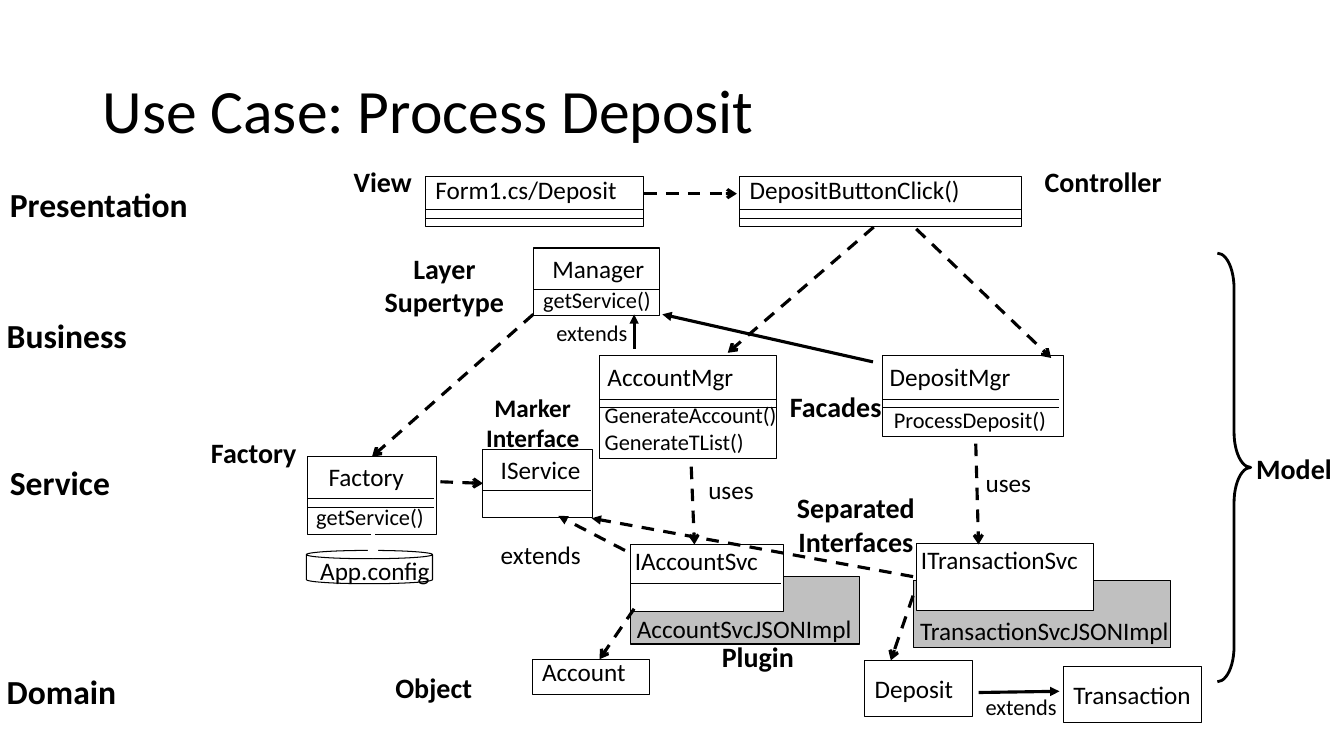
from dataclasses import dataclass

from lxml.etree import SubElement
from pptx import Presentation
from pptx.dml.color import RGBColor
from pptx.enum.dml import MSO_LINE
from pptx.enum.shapes import MSO_CONNECTOR, MSO_SHAPE
from pptx.enum.text import MSO_ANCHOR, MSO_AUTO_SIZE, PP_ALIGN
from pptx.oxml.ns import qn
from pptx.util import Cm, Pt


@dataclass(frozen=True)
class Theme:
    font: str = "Calibri"
    ink: RGBColor = RGBColor(0, 0, 0)
    paper: RGBColor = RGBColor(255, 255, 255)
    shade: RGBColor = RGBColor(0xC0, 0xC0, 0xC0)
    title: int = 44
    layer: int = 24
    role: int = 20
    name: int = 18
    member: int = 16
    thin: float = 0.75
    brace: float = 2
    arrow: float = 2.25


T = Theme()


@dataclass(frozen=True)
class Box:
    """Lengths in cm; rules are divider offsets from the top edge."""
    key: str
    left: float
    top: float
    width: float
    height: float
    rules: tuple[float, ...] = ()
    rule_width: float = 0
    text: str = ""
    fill: RGBColor = T.paper
    kind: MSO_SHAPE = MSO_SHAPE.RECTANGLE


@dataclass(frozen=True)
class Arrow:
    start: tuple[float, float]
    end: tuple[float, float]
    head: str = "arrow"
    dashed: bool = True
    color: RGBColor = T.ink
    joins: tuple[str, int] | None = None


@dataclass(frozen=True)
class Label:
    text: str
    left: float
    top: float
    width: float
    size: int = T.name
    bold: bool = False
    centered: bool = False
    wrap: bool = False


BOXES = [
    Box("AccountSvcJSONImpl", 15.9, 14.53, 5.77, 1.7, fill=T.shade),
    Box("TransactionSvcJSONImpl", 23.01, 14.63, 6.5, 1.7, fill=T.shade),
    Box("Form1", 10.72, 4.44, 5.51, 1.27, (0.84, 1.07), 5.51),
    Box("DepositButtonClick", 18.64, 4.44, 7.11, 1.27, (0.84, 1.07), 7.11),
    Box("Manager", 13.44, 6.25, 3.18, 1.7, (1.04,), 3.18),
    Box("AccountMgr", 15.11, 8.97, 4.47, 2.59, (1.09, 1.29), 4.45),
    Box("DepositMgr", 22.25, 8.97, 4.55, 2.03, (1.09, 1.29), 4.45),
    Box("Factory", 7.75, 11.51, 3.25, 1.96, (1.04, 1.27), 3.18),
    Box("IService", 12.17, 11.33, 2.77, 1.7, (1.04,), 2.72),
    Box("IAccountSvc", 15.88, 13.72, 3.86, 1.7, (0.99,), 3.81),
    Box("ITransactionSvc", 23.09, 13.69, 4.47, 1.7),
    Box("App.config", 7.72, 13.87, 3.18, 0.84, kind=MSO_SHAPE.CAN),
    Box("Account", 13.41, 16.61, 2.95, 0.89),
    Box("Deposit", 21.79, 16.64, 2.72, 1.42, text="Deposit"),
    Box("Transaction", 26.8, 16.79, 3.48, 1.42, text="Transaction"),
]

ARROWS = [
    Arrow((9.4, 12.8), (9.4, 14.07), color=T.paper),
    Arrow((16.23, 4.88), (18.57, 4.88)),
    Arrow((22.02, 5.72), (18.34, 8.89)),
    Arrow((23.09, 5.77), (26.49, 9.02)),
    Arrow((15.98, 8.79), (15.98, 7.92), "triangle", dashed=False),
    Arrow((22, 9.12), (16.69, 7.92), "triangle", dashed=False),
    Arrow((13.44, 7.92), (9.4, 11.51), joins=("Factory", 0)),
    Arrow((11.1, 12.14), (12.17, 12.18), joins=("IService", 1)),
    Arrow((17.42, 11.76), (17.5, 13.72)),
    Arrow((24.59, 11.18), (24.66, 13.72)),
    Arrow((15.75, 13.87), (14.07, 13), "triangle"),
    Arrow((23.01, 14.53), (14.91, 13.06), "triangle"),
    Arrow((15.98, 15.34), (15.11, 16.61)),
    Arrow((23.01, 15.01), (22.45, 16.64)),
    Arrow((24.66, 17.45), (26.7, 17.42), "triangle", dashed=False),
]

LAYERS = [
    Label("Presentation", 0, 4.5, 5.05, T.layer, True),
    Label("Business", -0.08, 7.8, 3.58, T.layer, True),
    Label("Service", 0, 11.51, 3.25, T.layer, True),
    Label("Domain", -0.08, 16.79, 3.3, T.layer, True),
]

ROLES = [
    Label("View", 8.64, 4.01, 2.01, T.role, True, True),
    Label("Controller", 26.06, 4.01, 3.48, T.role, True, True),
    Label("Layer\nSupertype", 9.42, 6.2, 3.56, T.role, True, True),
    Label("Facades", 19.56, 9.68, 3, T.role, True, True),
    Label("Marker\nInterface", 11.99, 9.75, 2.87, T.name, True, True),
    Label("Factory", 5.05, 10.85, 2.69, T.role, True, True),
    Label("Separated\nInterfaces", 19.74, 12.24, 3.66, T.role, True, True),
    Label("Plugin", 17.93, 16, 2.34, T.role, True, True),
    Label("Object", 9.7, 16.76, 2.46, T.role, True, True),
    Label("Model", 31.39, 11.25, 2.44, T.role, True, True),
]

NAMES = [
    Label("Form1.cs/Deposit", 10.72, 4.27, 5.13),
    Label("DepositButtonClick()", 18.64, 4.27, 5.89),
    Label("Manager", 13.67, 6.27, 2.84),
    Label("getService()", 13.44, 7.09, 3.25, T.member),
    Label("AccountMgr", 15.06, 8.97, 3.71),
    Label("GenerateAccount()\nGenerateTList()", 14.99, 9.98, 4.9, T.member),
    Label("DepositMgr", 22.17, 8.97, 3.58),
    Label("ProcessDeposit()", 22.28, 10.11, 5.44, T.member, wrap=True),
    Label("Factory", 8.03, 11.51, 2.44),
    Label("getService()", 7.72, 12.55, 3.25, T.member),
    Label("App.config", 7.82, 13.87, 3.3),
    Label("IService", 12.37, 11.33, 2.54),
    Label("IAccountSvc", 15.75, 13.61, 3.63),
    Label("AccountSvcJSONImpl", 15.8, 15.32, 5.97),
    Label("ITransactionSvc", 22.96, 13.59, 4.5),
    Label("TransactionSvcJSONImpl", 22.94, 15.39, 6.83),
    Label("Account", 13.41, 16.41, 2.64),
    Label("extends", 13.77, 7.92, 2.34, T.member),
    Label("extends", 12.37, 13.46, 2.57),
    Label("extends", 24.59, 17.35, 2.34, T.member),
    Label("uses", 17.6, 11.84, 1.68),
    Label("uses", 24.59, 11.66, 1.68),
]


def write(tf, text: str, size: int, bold: bool = False, align=PP_ALIGN.LEFT) -> None:
    for i, line in enumerate(text.split("\n")):
        p = tf.paragraphs[0] if i == 0 else tf.add_paragraph()
        p.text = line
        p.alignment = align
        p.font.name, p.font.size, p.font.bold = T.font, Pt(size), bold
        p.font.color.rgb = T.ink


def add_line(s, start, end, width: float, color: RGBColor = T.ink):
    c = s.shapes.add_connector(MSO_CONNECTOR.STRAIGHT, *map(Cm, (*start, *end)))
    c.line.width = Pt(width)
    c.line.color.rgb = color
    SubElement(c._element.spPr, qn("a:effectLst"))
    return c


def add_box(s, box: Box):
    sp = s.shapes.add_shape(box.kind, Cm(box.left), Cm(box.top), Cm(box.width), Cm(box.height))
    sp.shadow.inherit = False
    sp.fill.solid()
    sp.fill.fore_color.rgb = box.fill
    sp.line.color.rgb, sp.line.width = T.ink, Pt(T.thin)
    if box.text:
        sp.text_frame.word_wrap = False
        write(sp.text_frame, box.text, T.name)
    for offset in box.rules:
        y = box.top + offset
        add_line(s, (box.left, y), (box.left + box.rule_width, y), T.thin)
    return sp


def add_arrow(s, arrow: Arrow, boxes: dict) -> None:
    c = add_line(s, arrow.start, arrow.end, T.arrow, arrow.color)
    if arrow.dashed:
        c.line.dash_style = MSO_LINE.DASH
    SubElement(c._element.spPr.find(qn("a:ln")), qn("a:tailEnd"), type=arrow.head)
    if arrow.joins:
        key, side = arrow.joins
        c.end_connect(boxes[key], side)


def add_label(s, label: Label) -> None:
    """Box height follows from the number of lines and the type size."""
    lines = label.text.count("\n") + 1
    height = Cm(0.25) + Pt(label.size * 1.2 * lines)
    tf = s.shapes.add_textbox(Cm(label.left), Cm(label.top), Cm(label.width), height).text_frame
    tf.word_wrap = label.wrap
    tf.auto_size = MSO_AUTO_SIZE.SHAPE_TO_FIT_TEXT
    write(tf, label.text, label.size, label.bold, PP_ALIGN.CENTER if label.centered else PP_ALIGN.LEFT)


def add_model_brace(s) -> None:
    sp = s.shapes.add_shape(MSO_SHAPE.RIGHT_BRACE, Cm(30.68), Cm(6.38), Cm(0.84), Cm(10.8))
    sp.shadow.inherit = False
    sp.adjustments[0] = 1.06
    sp.fill.background()
    sp.line.color.rgb, sp.line.width = T.ink, Pt(T.brace)


def main() -> None:
    prs = Presentation()
    prs.slide_width, prs.slide_height = Cm(33.87), Cm(19.05)
    s = prs.slides.add_slide(prs.slide_layouts[5])
    title = s.shapes.title
    title.left, title.top, title.width, title.height = Cm(2.33), Cm(1.01), Cm(29.21), Cm(3.68)
    title.text_frame.vertical_anchor = MSO_ANCHOR.MIDDLE
    write(title.text_frame, "Use Case: Process Deposit", T.title)
    title.text_frame.paragraphs[0].line_spacing = 0.9
    boxes = {box.key: add_box(s, box) for box in BOXES}
    for arrow in ARROWS:
        add_arrow(s, arrow, boxes)
    add_model_brace(s)
    for label in LAYERS + ROLES + NAMES:
        add_label(s, label)
    prs.save("out.pptx")


if __name__ == "__main__":
    main()
